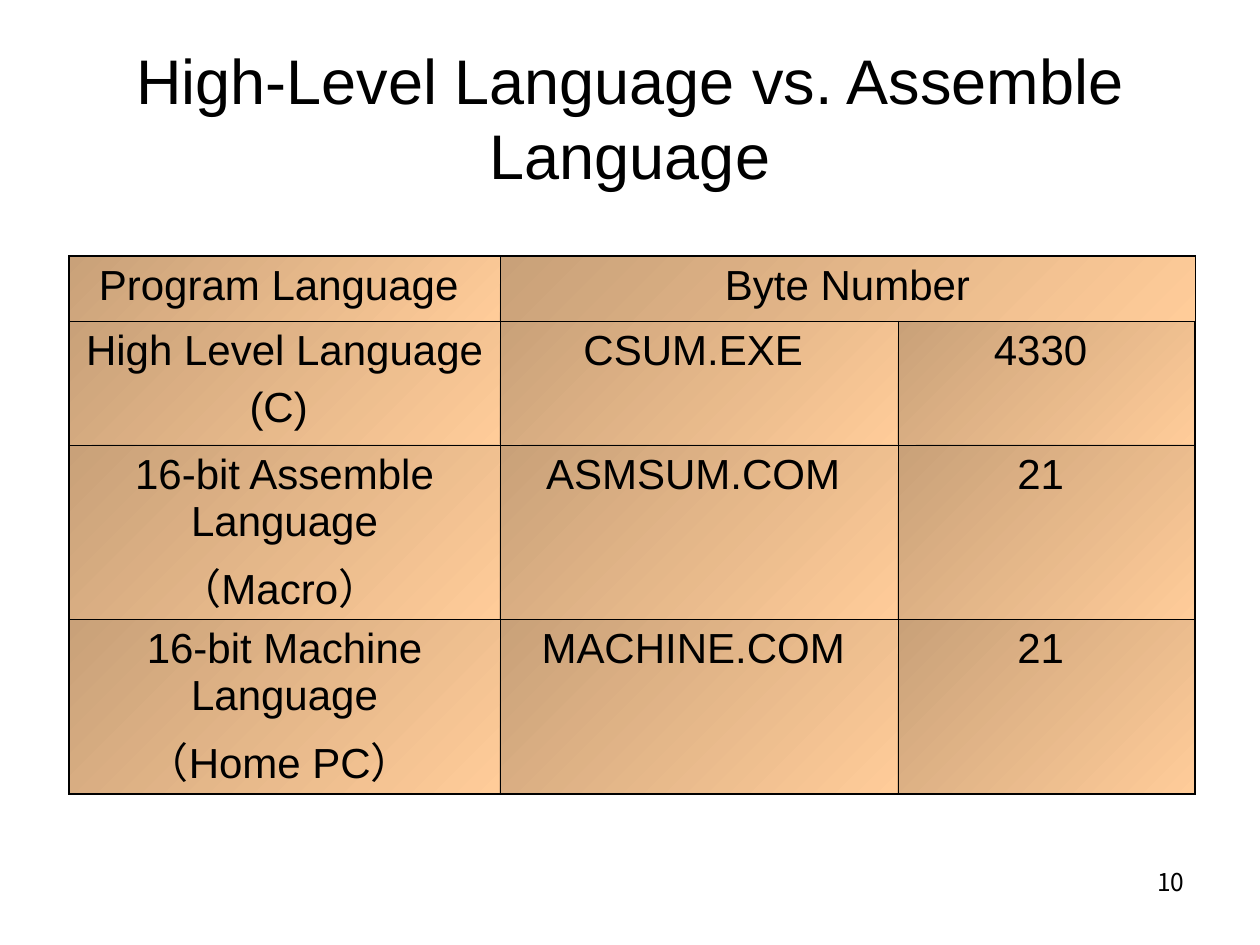
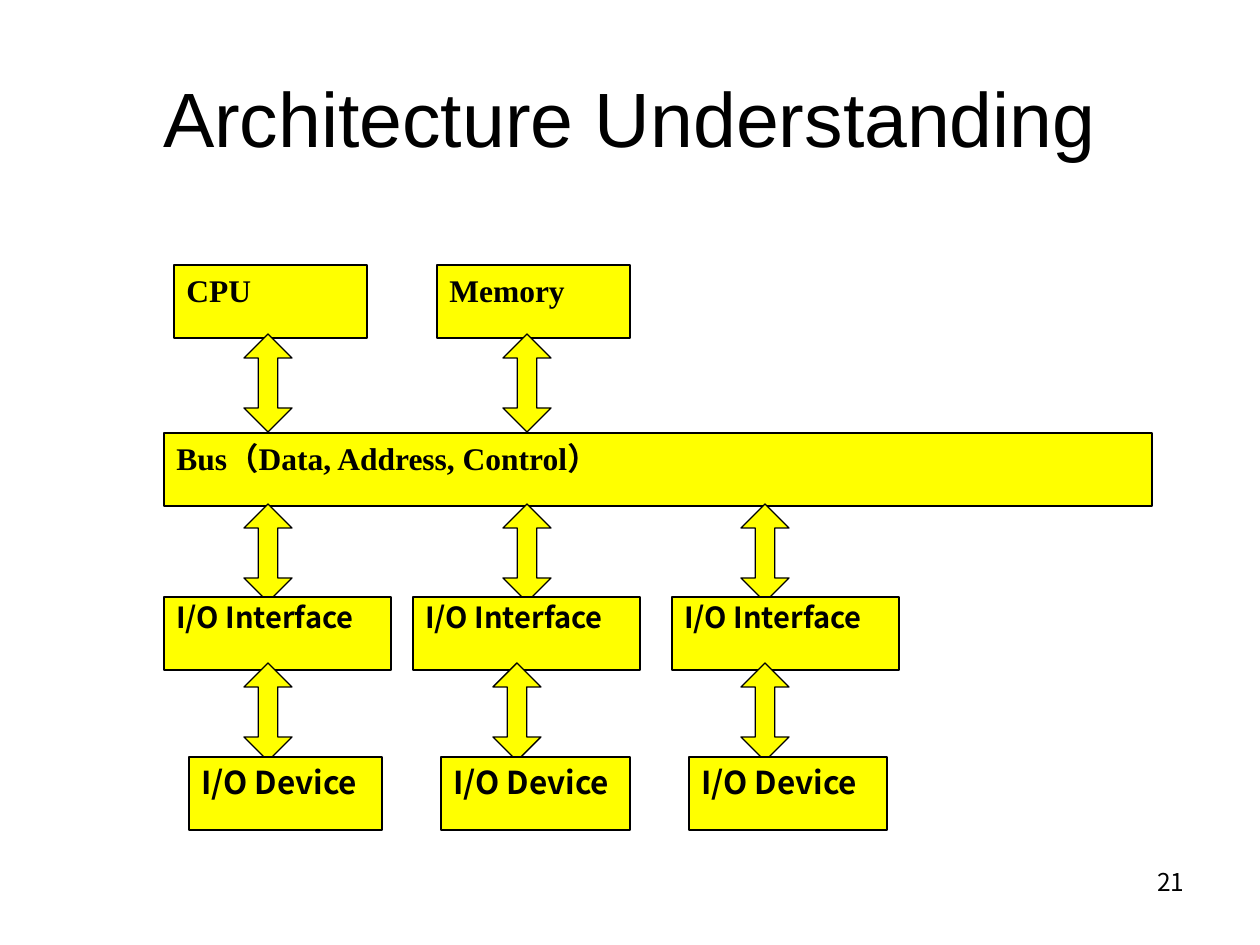
from dataclasses import dataclass

import pptx
import pptx.dml.color
import pptx.enum.shapes
import pptx.enum.text
import pptx.oxml.ns
import pptx.util
from lxml import etree

EMU_PER_PX = 914400 / 126
TITLE_ONLY = 5
ALIGN = pptx.enum.text.PP_ALIGN
ANCHOR = pptx.enum.text.MSO_ANCHOR
SHAPE = pptx.enum.shapes.MSO_SHAPE


@dataclass(frozen=True)
class Theme:
    ink: str = "000000"
    block: str = "FFFF00"
    cell_dark: str = "C9A179"
    cell_light: str = "FFCC99"
    sans: str = "Arial"
    serif: str = "Times New Roman"
    cjk: str = "Noto Sans CJK KR"
    long_title: float = 36
    title: float = 44
    cell: float = 24
    label: float = 18
    interface: float = 16.6
    number: float = 14
    cell_gap: float = 6
    line: float = 0.75
    inner_border: float = 0.45
    outer_border: float = 1.08


THEME = Theme()


def px(length):
    return pptx.util.Emu(round(length * EMU_PER_PX))


def box(left, top, width, height):
    return px(left), px(top), px(width), px(height)


def rgb(color):
    return pptx.dml.color.RGBColor.from_string(color)


def write(paragraph, words, font, size, align, bold=False):
    paragraph.alignment = align
    run = paragraph.add_run()
    run.text = words
    run.font.size = pptx.util.Pt(size)
    run.font.bold = bold
    run.font.color.rgb = rgb(THEME.ink)
    run.font.name = font
    east_asian = etree.SubElement(run.font._element, pptx.oxml.ns.qn("a:ea"))
    east_asian.set("typeface", THEME.cjk)


def add_titled_slide(deck, heading, size, number):
    slide = deck.slides.add_slide(deck.slide_layouts[TITLE_ONLY])
    title = slide.shapes.title
    title.left, title.top, title.width, title.height = box(63, 38, 1134, 158)
    frame = title.text_frame
    frame.auto_size = pptx.enum.text.MSO_AUTO_SIZE.NONE
    frame.vertical_anchor = ANCHOR.MIDDLE
    write(frame.paragraphs[0], heading, THEME.sans, size, ALIGN.CENTER)

    page = slide.shapes.add_textbox(*box(903, 861, 294, 66)).text_frame
    page.word_wrap = True
    write(page.paragraphs[0], number, THEME.cjk, THEME.number, ALIGN.RIGHT)
    return slide


def add_block(slide, preset, left, top, width, height):
    block = slide.shapes.add_shape(preset, *box(left, top, width, height))
    block.shadow.inherit = False
    block.fill.solid()
    block.fill.fore_color.rgb = rgb(THEME.block)
    block.line.color.rgb = rgb(THEME.ink)
    block.line.width = pptx.util.Pt(THEME.line)
    return block


def add_unit(slide, words, left, top, width, font, size=THEME.label, spacing=None):
    frame = add_block(slide, SHAPE.RECTANGLE, left, top, width, 73).text_frame
    frame.word_wrap = True
    frame.vertical_anchor = ANCHOR.TOP
    label = frame.paragraphs[0]
    label.line_spacing = spacing
    write(label, words, font, size, ALIGN.JUSTIFY, bold=True)


def add_link_row(slide, lefts, top):
    for left in lefts:
        link = add_block(slide, SHAPE.UP_DOWN_ARROW, left, top, 48, 98)
        link.adjustments[0] = 0.5
        link.adjustments[1] = 0.405


def set_borders(cell, outer_sides):
    properties = cell._tc.get_or_add_tcPr()
    for side in "LRTB":
        width = THEME.outer_border if side in outer_sides else THEME.inner_border
        border = etree.SubElement(properties, pptx.oxml.ns.qn(f"a:ln{side}"))
        border.set("w", str(pptx.util.Pt(width)))
        fill = etree.SubElement(border, pptx.oxml.ns.qn("a:solidFill"))
        etree.SubElement(fill, pptx.oxml.ns.qn("a:srgbClr")).set("val", THEME.ink)


def shade(cell):
    cell.fill.gradient()
    cell.fill.gradient_angle = 315
    for stop, color in zip(cell.fill.gradient_stops, (THEME.cell_dark, THEME.cell_light)):
        stop.color.rgb = rgb(color)


def fill_cell(cell, lines):
    frame = cell.text_frame
    for index, words in enumerate(lines):
        paragraph = frame.add_paragraph() if index else frame.paragraphs[0]
        if index:
            paragraph.space_before = pptx.util.Pt(THEME.cell_gap)
        write(paragraph, words, THEME.sans, THEME.cell, ALIGN.CENTER)


def add_size_table(slide, rows, left, top, widths, heights):
    table = slide.shapes.add_table(
        len(heights), len(widths), *box(left, top, sum(widths), sum(heights))
    ).table
    table.first_row = False
    table.horz_banding = False
    for column, width in zip(table.columns, widths):
        column.width = px(width)
    for row, height in zip(table.rows, heights):
        row.height = px(height)

    last_row, last_column = len(heights) - 1, len(widths) - 1
    for r in range(len(heights)):
        for c in range(len(widths)):
            edges = {"L": c == 0, "R": c == last_column, "T": r == 0, "B": r == last_row}
            cell = table.cell(r, c)
            set_borders(cell, [side for side, outer in edges.items() if outer])
            shade(cell)
    table.cell(0, 1).merge(table.cell(0, last_column))
    for r, entries in enumerate(rows):
        for c, lines in enumerate(entries):
            fill_cell(table.cell(r, c), lines)


def build_language_slide(deck):
    slide = add_titled_slide(
        deck, "High-Level Language vs. Assemble Language", THEME.long_title, "10"
    )
    program_sizes = [
        [["Program Language "], ["Byte Number"]],
        [["High Level Language", "(C) "], ["CSUM.EXE "], ["4330 "]],
        [["16-bit Assemble Language", "（Macro） "], ["ASMSUM.COM "], ["21 "]],
        [["16-bit Machine Language", "（Home PC） "], ["MACHINE.COM "], ["21 "]],
    ]
    add_size_table(slide, program_sizes, 69, 256, [431, 398, 297], [65, 124, 174, 174])


def build_architecture_slide(deck):
    slide = add_titled_slide(deck, "Architecture Understanding", THEME.title, "21")
    for words, left in (("CPU", 174), ("Memory", 437)):
        add_unit(slide, words, left, 265, 193, THEME.serif)
    add_unit(slide, "Bus（Data, Address, Control）", 164, 433, 988, THEME.serif)
    add_link_row(slide, (244, 503), 334)
    add_link_row(slide, (244, 503, 741), 504)
    for left in (164, 413, 672):
        add_unit(slide, "I/O Interface", left, 597, 227, THEME.cjk, THEME.interface, 0.9)
    add_link_row(slide, (244, 493, 741), 663)
    for left, width in ((189, 193), (441, 189), (689, 198)):
        add_unit(slide, "I/O Device", left, 757, width, THEME.cjk)


def main():
    deck = pptx.Presentation()
    deck.slide_width, deck.slide_height = px(1260), px(945)
    build_language_slide(deck)
    build_architecture_slide(deck)
    deck.save("out.pptx")


if __name__ == "__main__":
    main()
